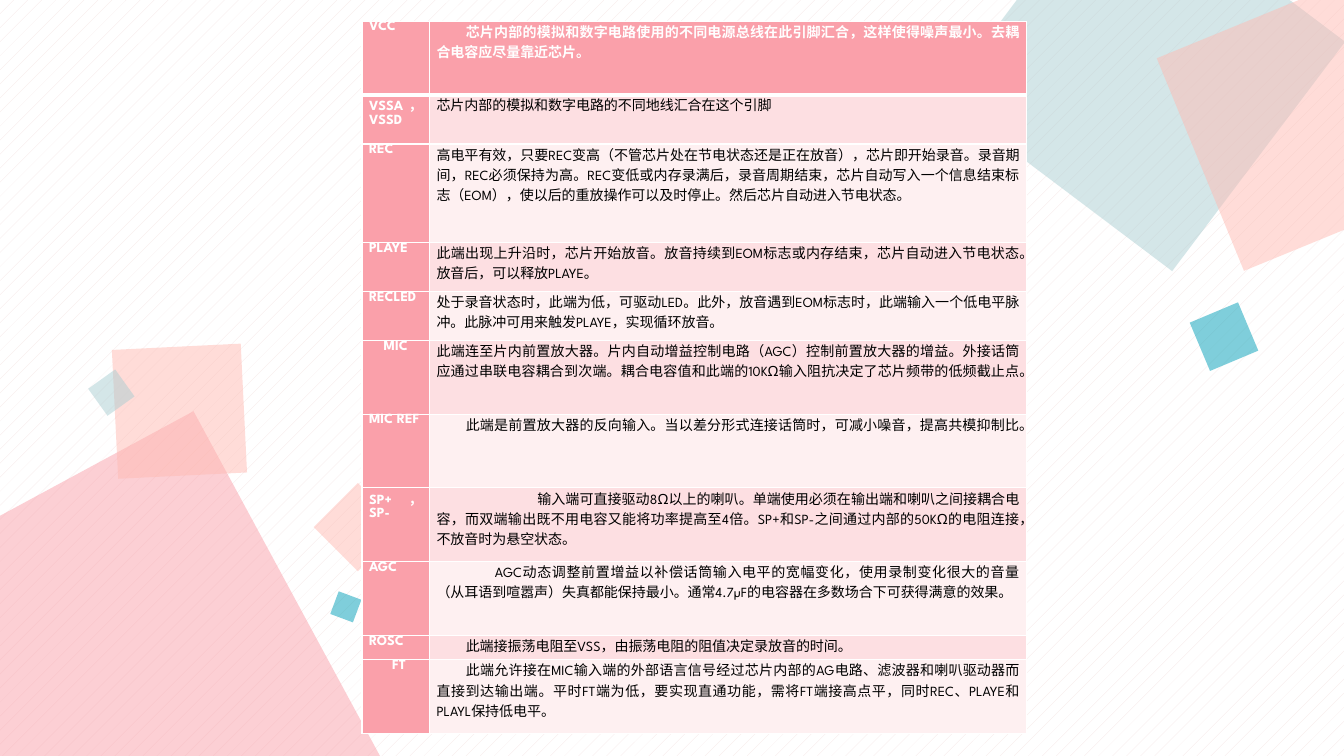
import lxml.etree
import pptx
import pptx.dml.color
import pptx.enum.dml
import pptx.enum.shapes
import pptx.enum.text
import pptx.oxml.ns
import pptx.util

RGB = pptx.dml.color.RGBColor
ALIGN = pptx.enum.text.PP_ALIGN
Inches = pptx.util.Inches
qn = pptx.oxml.ns.qn

WHITE = RGB(0xFF, 0xFF, 0xFF)
BLACK = RGB(0, 0, 0)
BLUSH = RGB(0xF5, 0xE5, 0xE4)
PINK = RGB(0xFA, 0xA0, 0xAA)
PEACH = RGB(0xFF, 0xBB, 0xB3)
MINT = RGB(0xAA, 0xCE, 0xD2)
TEAL = RGB(0x00, 0x9F, 0xB8)
BANDS = RGB(0xFE, 0xF0, 0xF1), RGB(0xFD, 0xDF, 0xE2)

WIDE, HIGH = 13.33, 7.5
UNIT = 7.07 / 29
SQUARES = [
    (-0.93, 4.8, 4.06, 331.6, PINK),
    (1.14, 3.44, 1.28, 357.2, PEACH),
    (3.24, 4.92, 0.62, 315, PEACH),
    (0.94, 3.73, 0.33, 324.4, MINT),
    (9.92, -0.73, 2.85, 37, MINT),
    (11.82, 0.06, 2.28, 337.7, PEACH),
    (11.88, 3.08, 0.52, 337.2, TEAL),
    (3.31, 5.9, 0.24, 290.5, TEAL),
]
PINS = [
    (3, "VCC", {}, "芯片内部的模拟和数字电路使用的不同电源总线在此引脚汇合，这样使得噪声最小。去耦合电容应尽量靠近芯片。", 0.29),
    (2, "VSSA，VSSD", {}, "芯片内部的模拟和数字电路的不同地线汇合在这个引脚", 0),
    (4, "REC", {}, "高电平有效，只要REC变高（不管芯片处在节电状态还是正在放音），芯片即开始录音。录音期间，REC必须保持为高。REC变低或内存录满后，录音周期结束，芯片自动写入一个信息结束标志（EOM），使以后的重放操作可以及时停止。然后芯片自动进入节电状态。", 0),
    (2, "PLAYE", {}, "此端出现上升沿时，芯片开始放音。放音持续到EOM标志或内存结束，芯片自动进入节电状态。放音后，可以释放PLAYE。", 0),
    (2, "RECLED", {}, "处于录音状态时，此端为低，可驱动LED。此外，放音遇到EOM标志时，此端输入一个低电平脉冲。此脉冲可用来触发PLAYE，实现循环放音。", 0),
    (3, "MIC", {"align": ALIGN.CENTER}, "此端连至片内前置放大器。片内自动增益控制电路（AGC）控制前置放大器的增益。外接话筒应通过串联电容耦合到次端。耦合电容值和此端的10KΩ输入阻抗决定了芯片频带的低频截止点。", 0),
    (3, "MIC REF", {}, "此端是前置放大器的反向输入。当以差分形式连接话筒时，可减小噪音，提高共模抑制比。", 0.29),
    (3, "SP+，SP-", {}, "输入端可直接驱动8Ω以上的喇叭。单端使用必须在输出端和喇叭之间接耦合电容，而双端输出既不用电容又能将功率提高至4倍。SP+和SP-之间通过内部的50KΩ的电阻连接，不放音时为悬空状态。", 1),
    (3, "AGC", {}, "AGC动态调整前置增益以补偿话筒输入电平的宽幅变化，使用录制变化很大的音量（从耳语到喧嚣声）失真都能保持最小。通常4.7µF的电容器在多数场合下可获得满意的效果。", 0.58),
    (1, "ROSC", {}, "此端接振荡电阻至VSS，由振荡电阻的阻值决定录放音的时间。", 0.29),
    (3, "FT", {"indent": 0.23}, "此端允许接在MIC输入端的外部语言信号经过芯片内部的AG电路、滤波器和喇叭驱动器而直接到达输出端。平时FT端为低，要实现直通功能，需将FT端接高点平，同时REC、PLAYE和PLAYL保持低电平。", 0.29),
]


def write(frame, text, color=WHITE, bold=True, align=ALIGN.JUSTIFY, indent=0):
    """Put one formatted paragraph in a text frame."""
    para = frame.paragraphs[0]
    para.alignment = align
    props = para._p.get_or_add_pPr()
    props.set("marL", "0")
    props.set("indent", str(Inches(indent)))
    run = para.add_run()
    run.text = text
    font = run.font
    font.name = "League Spartan"
    font.size = pptx.util.Pt(10)
    font.bold = bold
    font.color.rgb = color


def edge(cell, side, width):
    """Draw one white border of a cell."""
    props = cell._tc.get_or_add_tcPr()
    line = lxml.etree.SubElement(props, qn("a:ln" + side), w=str(pptx.util.Pt(width)))
    fill = lxml.etree.SubElement(line, qn("a:solidFill"))
    lxml.etree.SubElement(fill, qn("a:srgbClr"), val=str(WHITE))


def paint(cell, color, row):
    """Set the margins, borders and fill of a cell."""
    cell.margin_left = cell.margin_right = Inches(0.07)
    cell.margin_top = cell.margin_bottom = 0
    for side in "LRTB":
        thick = (row, side) in ((0, "B"), (1, "T"))
        edge(cell, side, 3 if thick else 1)
    cell.fill.solid()
    cell.fill.fore_color.rgb = color


def decor(slide, wide, high):
    """Place the turned see-through squares, as shares of the slide."""
    for left, top, side, turn, color in SQUARES:
        tile = slide.shapes.add_shape(
            pptx.enum.shapes.MSO_SHAPE.RECTANGLE,
            int(wide * left / WIDE), int(high * top / HIGH),
            Inches(side), Inches(side))
        tile.rotation = turn
        tile.shadow.inherit = False
        tile.line.fill.background()
        tile.fill.solid()
        tile.fill.fore_color.rgb = color
        tint = tile._element.spPr.find(qn("a:solidFill"))[0]
        lxml.etree.SubElement(tint, qn("a:alpha"), val="50000")


def pins(slide, left, top, wide, high):
    """Build the table of pins in the given box."""
    table = slide.shapes.add_table(
        len(PINS), 2, Inches(left), Inches(top), Inches(wide), Inches(high)).table
    table.columns[0].width = Inches(0.67)
    table.columns[1].width = Inches(wide - 0.67)
    for row, (units, name, style, text, indent) in enumerate(PINS):
        table.rows[row].height = Inches(units * UNIT)
        head, body = table.cell(row, 0), table.cell(row, 1)
        paint(head, PINK, row)
        paint(body, BANDS[row % 2] if row else PINK, row)
        write(head.text_frame, name, **style)
        write(body.text_frame, text, color=BLACK if row else WHITE,
              bold=row == 0, indent=indent)


def main():
    """Make the slide and save it."""
    deck = pptx.Presentation()
    deck.slide_width, deck.slide_height = Inches(WIDE), Inches(HIGH)
    slide = deck.slides.add_slide(deck.slide_layouts[6])
    back = slide.background.fill
    back.patterned()
    back.pattern = pptx.enum.dml.MSO_PATTERN.PERCENT_5
    back.fore_color.rgb = BLUSH
    back.back_color.rgb = WHITE
    decor(slide, deck.slide_width, deck.slide_height)
    pins(slide, 3.59, 0.21, 6.59, 29 * UNIT)
    deck.save("out.pptx")


if __name__ == "__main__":
    main()
